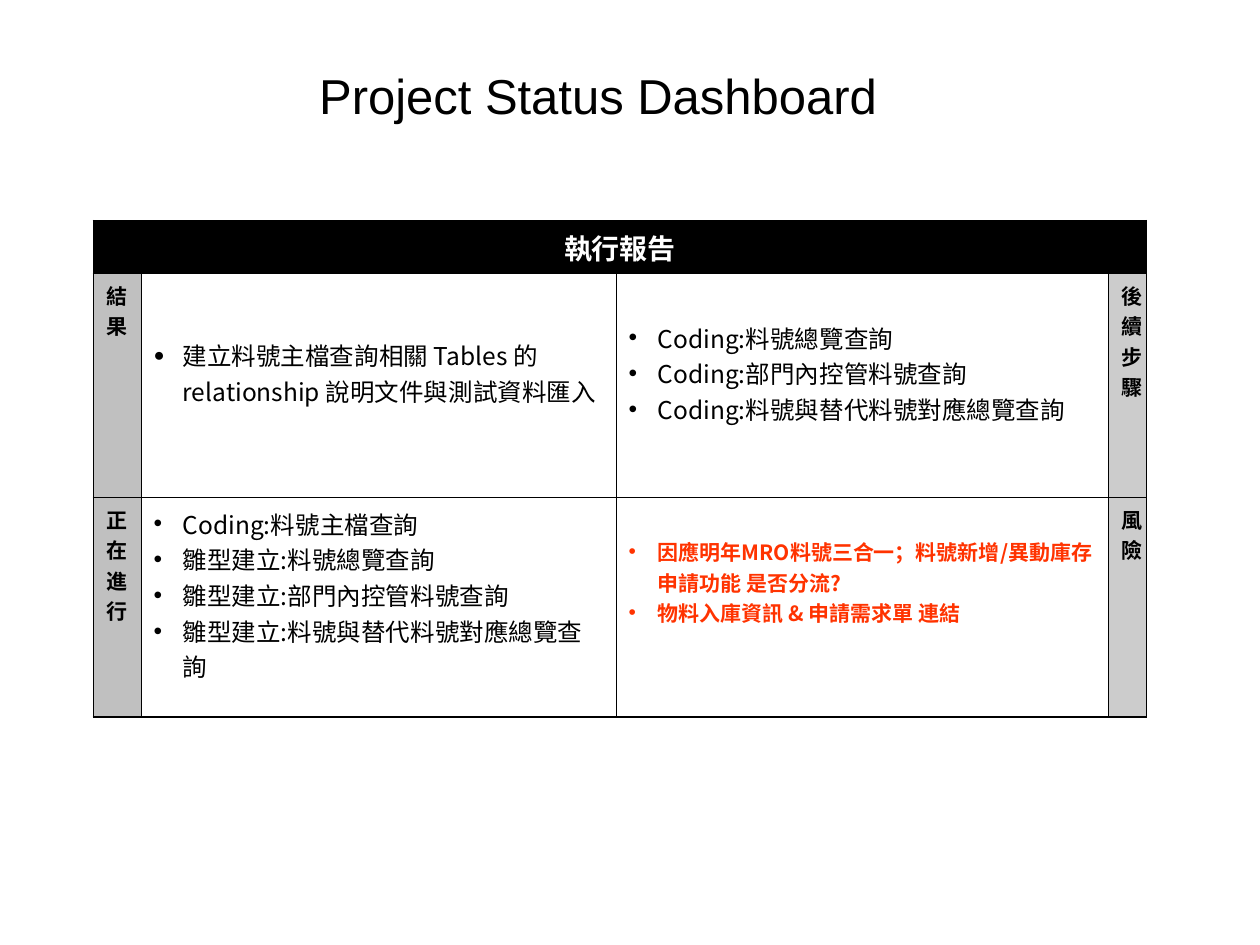
import pptx
import pptx.util
import pptx.dml.color
import pptx.enum.text
import pptx.oxml
import pptx.oxml.ns
from lxml import etree

RGB = pptx.dml.color.RGBColor
BLACK = RGB(0, 0, 0)
WHITE = RGB(255, 255, 255)
GRAY = RGB(0xC0, 0xC0, 0xC0)
PALE = RGB(0xCC, 0xCC, 0xCC)
RED = RGB(0xFF, 0x33, 0x00)
SANS = "Noto Sans CJK TC"
COLS = [0.38, 3.77, 3.91, 0.3]
ROWS = [0.41, 1.78, 1.74]
ALIGN = pptx.enum.text.PP_ALIGN
ANCHOR = pptx.enum.text.MSO_ANCHOR
INCH = pptx.util.Inches
qn = pptx.oxml.ns.qn


def style(para, name, size, color, bold=False, align=ALIGN.LEFT):
    """Format a whole paragraph."""
    para.alignment = align
    font = para.font
    font.name, font.size, font.bold = name, pptx.util.Pt(size), bold
    font.color.rgb = color
    props = para._p.get_or_add_pPr().find(qn("a:defRPr"))
    etree.SubElement(props, qn("a:ea"), typeface=name)


def bullet(para, mark, color, share):
    """Give a paragraph a hanging bullet."""
    props = para._p.get_or_add_pPr()
    props.set("marL", str(INCH(0.23)))
    props.set("indent", str(-INCH(0.23)))
    tint = etree.SubElement(props, qn("a:buClr"))
    etree.SubElement(tint, qn("a:srgbClr"), val=str(color))
    etree.SubElement(props, qn("a:buSzPct"), val=str(share * 1000))
    etree.SubElement(props, qn("a:buFont"), typeface="Arial")
    etree.SubElement(props, qn("a:buChar"), char=mark)


def border(cell, row, col):
    """Draw thin inner lines and thicker outer ones."""
    outer = {"L": col == 0, "R": col == len(COLS) - 1,
             "T": row == 0, "B": row == len(ROWS) - 1}
    props = cell._tc.get_or_add_tcPr()
    for side, edge in outer.items():
        width = pptx.util.Pt(0.96 if edge else 0.45)
        line = etree.SubElement(props, qn("a:ln" + side), w=str(width))
        fill = etree.SubElement(line, qn("a:solidFill"))
        etree.SubElement(fill, qn("a:srgbClr"), val=str(BLACK))


def label(cell, text, fill, align, size=12, color=BLACK):
    """Fill a shaded cell with a bold heading."""
    cell.fill.solid()
    cell.fill.fore_color.rgb = fill
    cell.text = text
    style(cell.text_frame.paragraphs[0], SANS, size, color, True, align)


def points(cell, items, size=14, color=BLACK, bold=False,
           mark="•", share=100, base=0.25):
    """Fill a white cell with a bulleted list."""
    cell.fill.solid()
    cell.fill.fore_color.rgb = WHITE
    cell.vertical_anchor = ANCHOR.MIDDLE
    cell.margin_bottom = INCH(base)
    cell.text = "\n".join(items)
    for para in cell.text_frame.paragraphs:
        bullet(para, mark, color, share)
        style(para, SANS, size, color, bold)


def heading(slide, text):
    """Place the slide title."""
    title = slide.shapes.title
    title.left, title.top = INCH(0.5), INCH(0.44)
    title.width, title.height = INCH(8.6), INCH(0.63)
    title.text = text
    title.text_frame.vertical_anchor = ANCHOR.MIDDLE
    style(title.text_frame.paragraphs[0], "Arial", 28, BLACK, align=ALIGN.CENTER)


def grid(slide):
    """Add the bordered, empty report table."""
    frame = slide.shapes.add_table(
        len(ROWS), len(COLS), INCH(0.74), INCH(1.75),
        INCH(sum(COLS)), INCH(sum(ROWS)))
    table = frame.table
    table.first_row = table.horz_banding = False
    for col, width in zip(table.columns, COLS):
        col.width = INCH(width)
    for row, height in zip(table.rows, ROWS):
        row.height = INCH(height)
    for row in range(len(ROWS)):
        for col in range(len(COLS)):
            border(table.cell(row, col), row, col)
    table.cell(0, 0).merge(table.cell(0, len(COLS) - 1))
    return table


def main():
    """Build and save the status slide."""
    deck = pptx.Presentation()
    deck.slide_width, deck.slide_height = INCH(10), INCH(7.5)
    slide = deck.slides.add_slide(deck.slide_layouts[5])
    heading(slide, "Project Status Dashboard ")
    cell = grid(slide).cell
    label(cell(0, 0), "執行報告", BLACK, ALIGN.CENTER, 16, WHITE)
    cell(0, 0).vertical_anchor = ANCHOR.MIDDLE
    sides = [("結果", "後續步驟"), ("正在進行", "風險")]
    for row, (left, right) in enumerate(sides, 1):
        label(cell(row, 0), left, GRAY, ALIGN.CENTER)
        label(cell(row, 3), right, PALE, ALIGN.LEFT)
    points(cell(1, 1), ["建立料號主檔查詢相關 Tables 的 relationship 說明文件與測試資料匯入"],
           mark="●", share=75)
    points(cell(1, 2), ["Coding:料號總覽查詢", "Coding:部門內控管料號查詢",
                        "Coding:料號與替代料號對應總覽查詢"])
    points(cell(2, 1), ["Coding:料號主檔查詢", "雛型建立:料號總覽查詢",
                        "雛型建立:部門內控管料號查詢",
                        "雛型建立:料號與替代料號對應總覽查詢"])
    points(cell(2, 2), ["因應明年MRO料號三合一；料號新增/異動庫存 申請功能 是否分流?",
                        "物料入庫資訊 & 申請需求單 連結"],
           size=12, color=RED, bold=True, base=0.45)
    deck.save("out.pptx")


if __name__ == "__main__":
    main()
